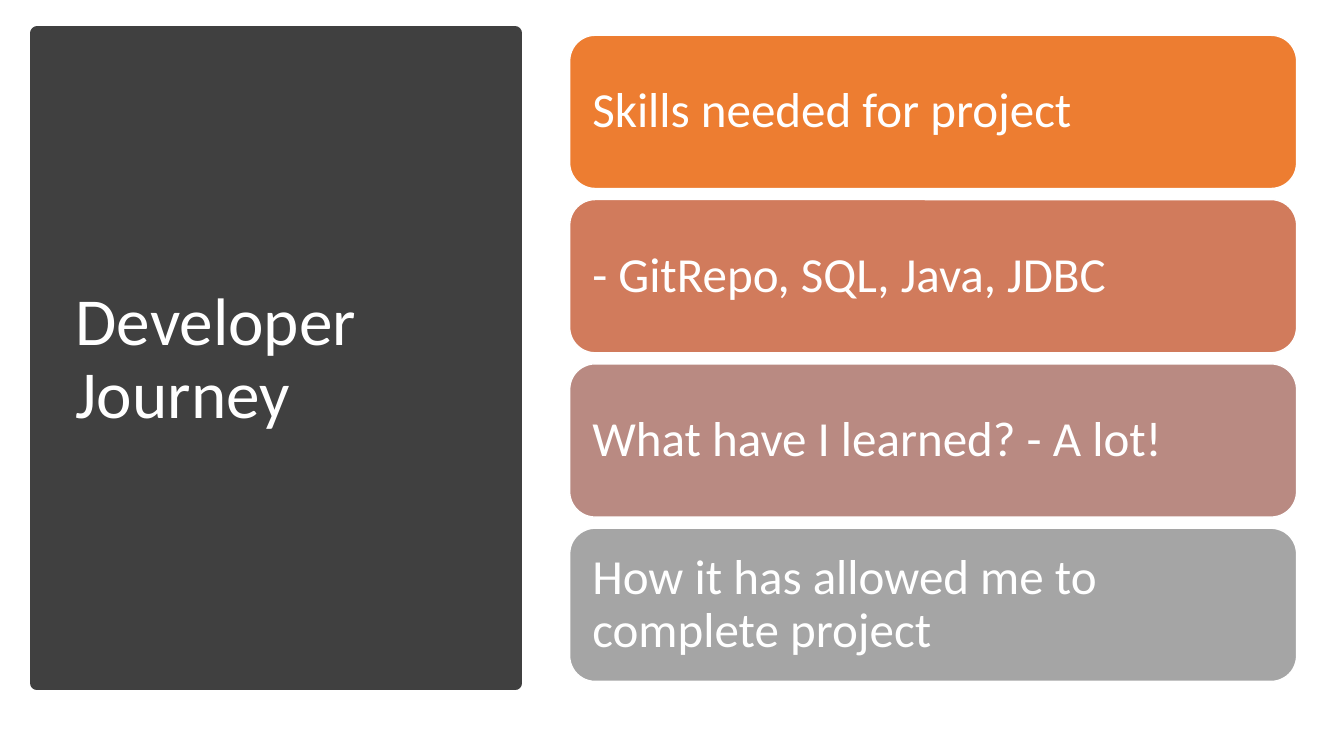
"""Build the Developer Journey slide: a dark title panel and four topic cards."""
from pptx import Presentation
from pptx.dml.color import RGBColor
from pptx.enum.shapes import MSO_SHAPE
from pptx.enum.text import MSO_ANCHOR, MSO_AUTO_SIZE, PP_ALIGN
from pptx.util import Inches, Pt

RECTANGLE = MSO_SHAPE.RECTANGLE
ROUNDED = MSO_SHAPE.ROUNDED_RECTANGLE
MIDDLE = MSO_ANCHOR.MIDDLE
NO_AUTOFIT = MSO_AUTO_SIZE.NONE
LEFT = PP_ALIGN.LEFT

WHITE = "FFFFFF"
CHARCOAL = "404040"
TITLE_ONLY = 5
CARD_TOP, CARD_STEP = 0.35, 1.63
TOPICS = [
    ("Skills needed for project", "ED7D31"),
    ("- GitRepo, SQL, Java, JDBC", "D17B5C"),
    ("What have I learned? - A lot!", "B98A82"),
    ("How it has allowed me to complete project", "A5A5A5"),
]


def add_block(kind, left, top, width, height, fill, line, line_width):
    block = slide.shapes.add_shape(
        kind, Inches(left), Inches(top), Inches(width), Inches(height))
    block.shadow.inherit = False
    block.fill.solid()
    block.fill.fore_color.rgb = RGBColor.from_string(fill)
    block.line.color.rgb = RGBColor.from_string(line)
    block.line.width = Pt(line_width)
    return block


def write(frame, text, size):
    frame.word_wrap = True
    frame.auto_size = NO_AUTOFIT
    frame.vertical_anchor = MIDDLE
    paragraph = frame.paragraphs[0]
    paragraph.alignment = LEFT
    paragraph.line_spacing = 0.9
    run = paragraph.add_run()
    run.text = text
    run.font.name = "Calibri"
    run.font.size = Pt(size)
    run.font.color.rgb = RGBColor.from_string(WHITE)


deck = Presentation()
deck.slide_width = Inches(13.33)
deck.slide_height = Inches(7.5)
slide = deck.slides.add_slide(deck.slide_layouts[TITLE_ONLY])

heading = slide.shapes.title
heading.left, heading.top = Inches(0.65), Inches(0.7)
heading.width, heading.height = Inches(4.16), Inches(5.75)
write(heading.text_frame, "Developer Journey", 48)

panel = add_block(RECTANGLE, 0.37, 0.33, 4.74, 6.45, CHARCOAL, CHARCOAL, 10)
heading.element.addprevious(panel.element)

for row, (topic, color) in enumerate(TOPICS):
    card = add_block(ROUNDED, 5.65, CARD_TOP + row * CARD_STEP, 7.21, 1.52,
                     color, WHITE, 1)
    frame = card.text_frame
    write(frame, topic, 35)
    frame.margin_left = frame.margin_right = Inches(0.15)
    frame.margin_top = frame.margin_bottom = Inches(0.15)

deck.save("out.pptx")
